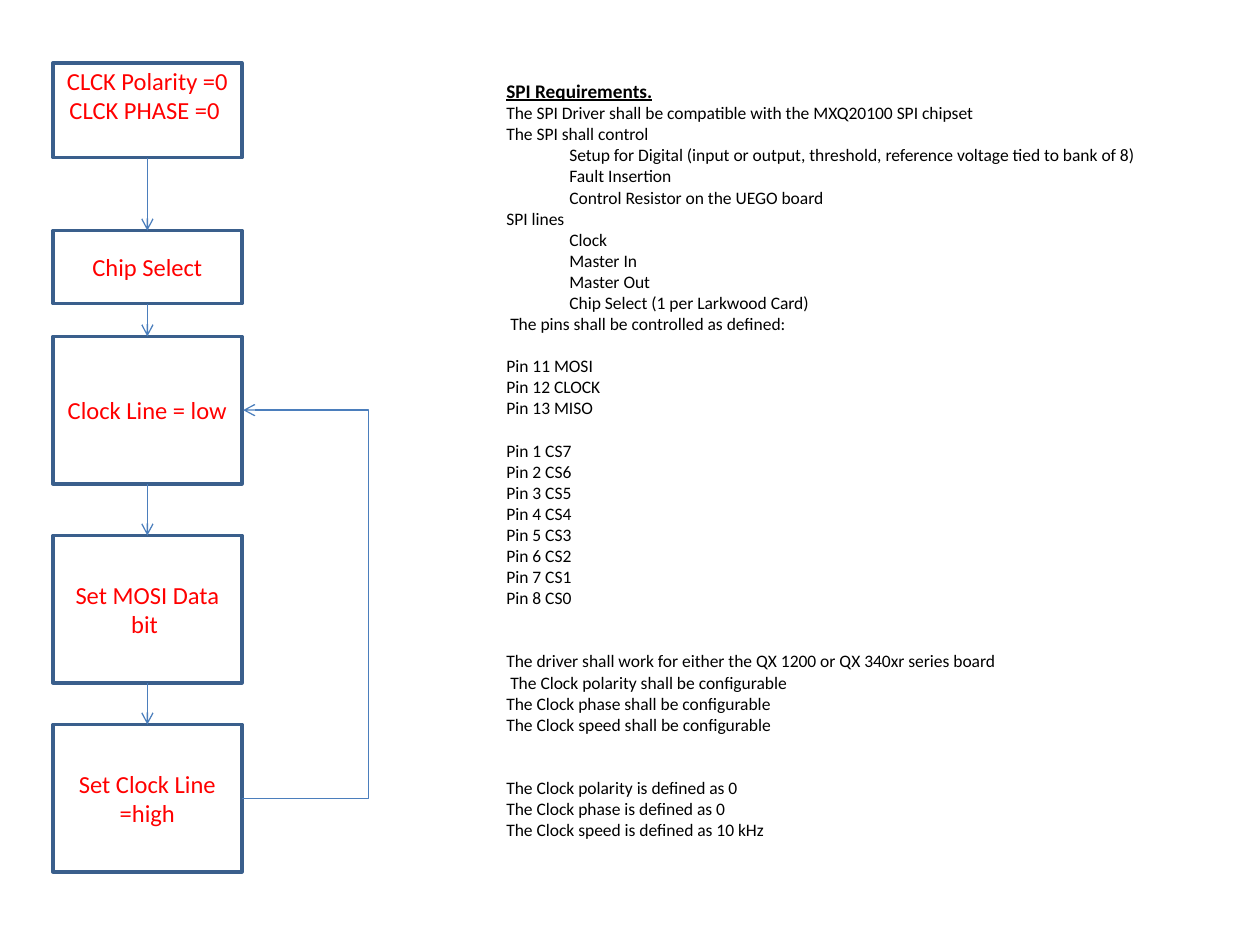
from dataclasses import dataclass

from lxml.etree import SubElement
from pptx import Presentation
from pptx.dml.color import RGBColor
from pptx.enum.shapes import MSO_CONNECTOR as Link, MSO_SHAPE as Preset
from pptx.enum.text import MSO_ANCHOR as Anchor, PP_ALIGN as Align
from pptx.oxml.ns import qn
from pptx.util import Inches, Pt

COLORS = {"border": "3A5F8C", "arrow": "4B7EBC", "step": "FF0000", "body": "000000"}
STEP_FONT = {"name": "Calibri", "size": Pt(14)}
HEADING_FONT = {"name": "Calibri", "size": Pt(11), "bold": True, "underline": True}
BODY_FONT = {"name": "Calibri", "size": Pt(10)}
STEP_LEFT, STEP_WIDTH = 0.42, 1.5
BODY_LINE = 12.2
TOP_SITE, BOTTOM_SITE = 0, 2


@dataclass
class Step:
    lines: list[str]
    top: float
    height: float
    frame: dict


@dataclass
class Group:
    """Requirement lines that share an indent, after a gap of some lines."""
    lines: list[str]
    indent: float = 0
    gap: int = 0


MIDDLE = {"vertical_anchor": Anchor.MIDDLE}
HIGH = {"vertical_anchor": Anchor.TOP, "margin_top": Inches(0.02)}

STEPS = [
    Step(["CLCK Polarity =0", "CLCK PHASE =0 "], 0.5, 0.75, HIGH),
    Step(["Chip Select"], 1.83, 0.58, MIDDLE),
    Step(["Clock Line = low"], 2.67, 1.17, MIDDLE),
    Step(["Set MOSI Data bit "], 4.25, 1.17, MIDDLE),
    Step(["Set Clock Line =high"], 5.75, 1.17, MIDDLE),
]

REQUIREMENTS = [
    Group(["The SPI Driver shall be compatible with the MXQ20100 SPI chipset",
           "The SPI shall control"]),
    Group(["Setup for Digital (input or output, threshold, reference voltage tied to bank of 8)",
           "Fault Insertion", "Control Resistor on the UEGO board"], indent=0.5),
    Group(["SPI lines"]),
    Group(["Clock", "Master In", "Master Out", "Chip Select (1 per Larkwood Card)"], indent=0.5),
    Group([" The pins shall be controlled as defined:"]),
    Group(["Pin 11 MOSI", "Pin 12 CLOCK", "Pin 13 MISO"], gap=1),
    Group([f"Pin {pin} CS{8 - pin}" for pin in range(1, 9)], gap=1),
    Group(["The driver shall work for either the QX 1200 or QX 340xr series board",
           " The Clock polarity shall be configurable",
           "The Clock phase shall be configurable",
           "The Clock speed shall be configurable"], gap=2),
    Group(["The Clock polarity is defined as 0", "The Clock phase is defined as 0",
           "The Clock speed is defined as 10 kHz"], gap=2),
]


def rgb(role: str) -> RGBColor:
    return RGBColor.from_string(COLORS[role])


def apply(target, values: dict) -> None:
    for key, value in values.items():
        setattr(target, key, value)


def write(paragraph, text: str, font: dict, role: str) -> None:
    run = paragraph.add_run()
    run.text = text
    apply(run.font, font)
    run.font.color.rgb = rgb(role)


def next_paragraph(frame):
    """Return the unused first paragraph, or a new one."""
    first = frame.paragraphs[0]
    return frame.add_paragraph() if first.runs else first


def draw_step(slide, step: Step):
    box = slide.shapes.add_shape(Preset.RECTANGLE, Inches(STEP_LEFT), Inches(step.top),
                                 Inches(STEP_WIDTH), Inches(step.height))
    box.shadow.inherit = False
    box.fill.background()
    box.line.color.rgb = rgb("border")
    box.line.width = Pt(2)
    apply(box.text_frame, {"word_wrap": True, **step.frame})
    for line in step.lines:
        paragraph = next_paragraph(box.text_frame)
        paragraph.alignment = Align.CENTER
        write(paragraph, line, STEP_FONT, "step")
    return box


def draw_arrow(slide, kind: Link, start: tuple = (0, 0), end: tuple = (0, 0)):
    arrow = slide.shapes.add_connector(kind, *map(Inches, start + end))
    arrow.line.color.rgb = rgb("arrow")
    arrow.line.width = Pt(0.75)
    SubElement(arrow.line._get_or_add_ln(), qn("a:tailEnd"), type="arrow")
    SubElement(arrow._element.spPr, qn("a:effectLst"))
    return arrow


def draw_loop(slide, source: Step, target: Step, reach: float) -> None:
    """Lead back from source to target, bending out to the right by reach."""
    right, span = STEP_LEFT + STEP_WIDTH, 0.01
    arrow = draw_arrow(slide, Link.ELBOW, (right, source.top + source.height / 2),
                       (right + span, target.top + target.height / 2))
    guides = arrow._element.spPr.find(qn("a:prstGeom")).get_or_add_avLst()
    SubElement(guides, qn("a:gd"), name="adj1", fmla=f"val {round(reach / span * 100000)}")


def draw_requirements(slide) -> None:
    frame = slide.shapes.add_textbox(Inches(3.92), Inches(0.58),
                                     Inches(5.58), Inches(6.51)).text_frame
    frame.word_wrap = True
    write(next_paragraph(frame), "SPI Requirements.", HEADING_FONT, "body")
    for group in REQUIREMENTS:
        for index, line in enumerate(group.lines):
            paragraph = next_paragraph(frame)
            if group.indent:
                paragraph.level = 1
                paragraph._p.get_or_add_pPr().set("marL", str(Inches(group.indent)))
            if group.gap and index == 0:
                paragraph.space_before = Pt(group.gap * BODY_LINE)
            write(paragraph, line, BODY_FONT, "body")


def main() -> None:
    deck = Presentation()
    deck.slide_width, deck.slide_height = Inches(10), Inches(7.5)
    slide = deck.slides.add_slide(deck.slide_layouts[6])
    boxes = [draw_step(slide, step) for step in STEPS]
    for upper, lower in zip(boxes, boxes[1:]):
        arrow = draw_arrow(slide, Link.STRAIGHT)
        arrow.begin_connect(upper, BOTTOM_SITE)
        arrow.end_connect(lower, TOP_SITE)
    draw_loop(slide, source=STEPS[4], target=STEPS[2], reach=1.02)
    draw_requirements(slide)
    deck.save("out.pptx")


if __name__ == "__main__":
    main()
